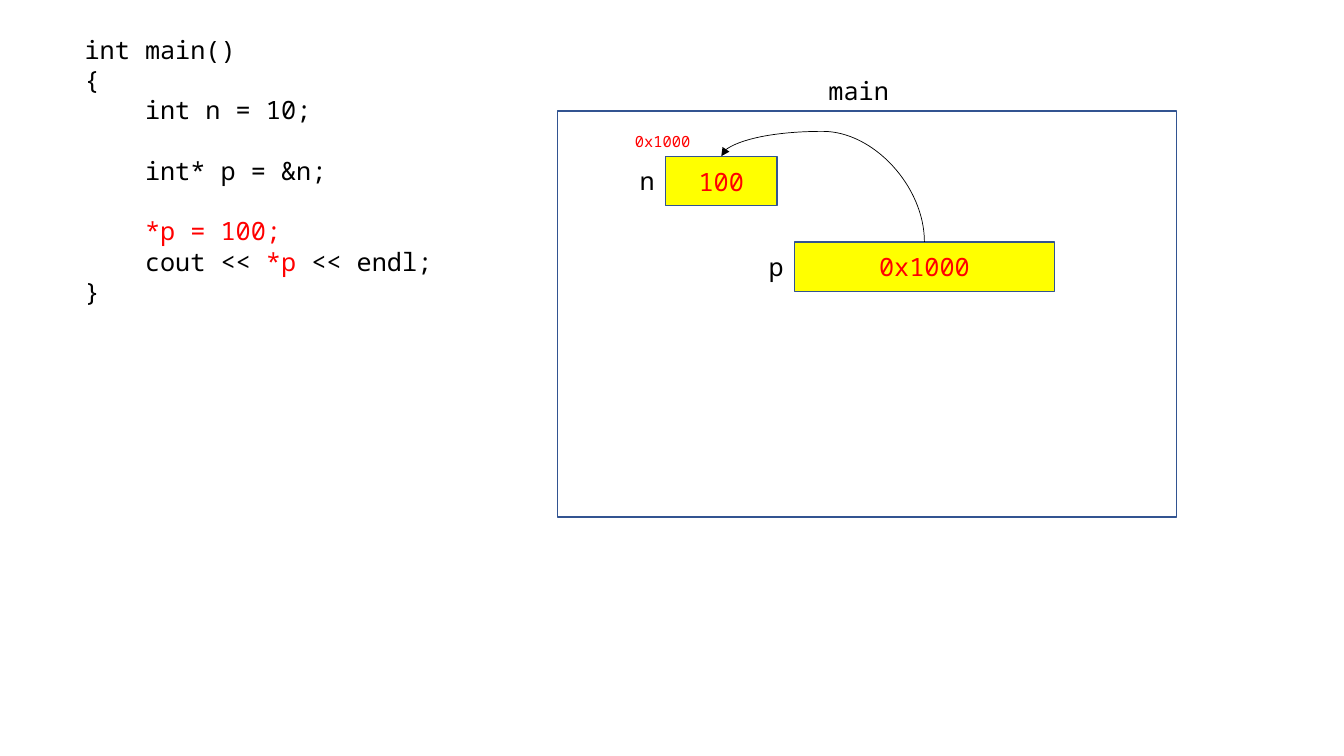
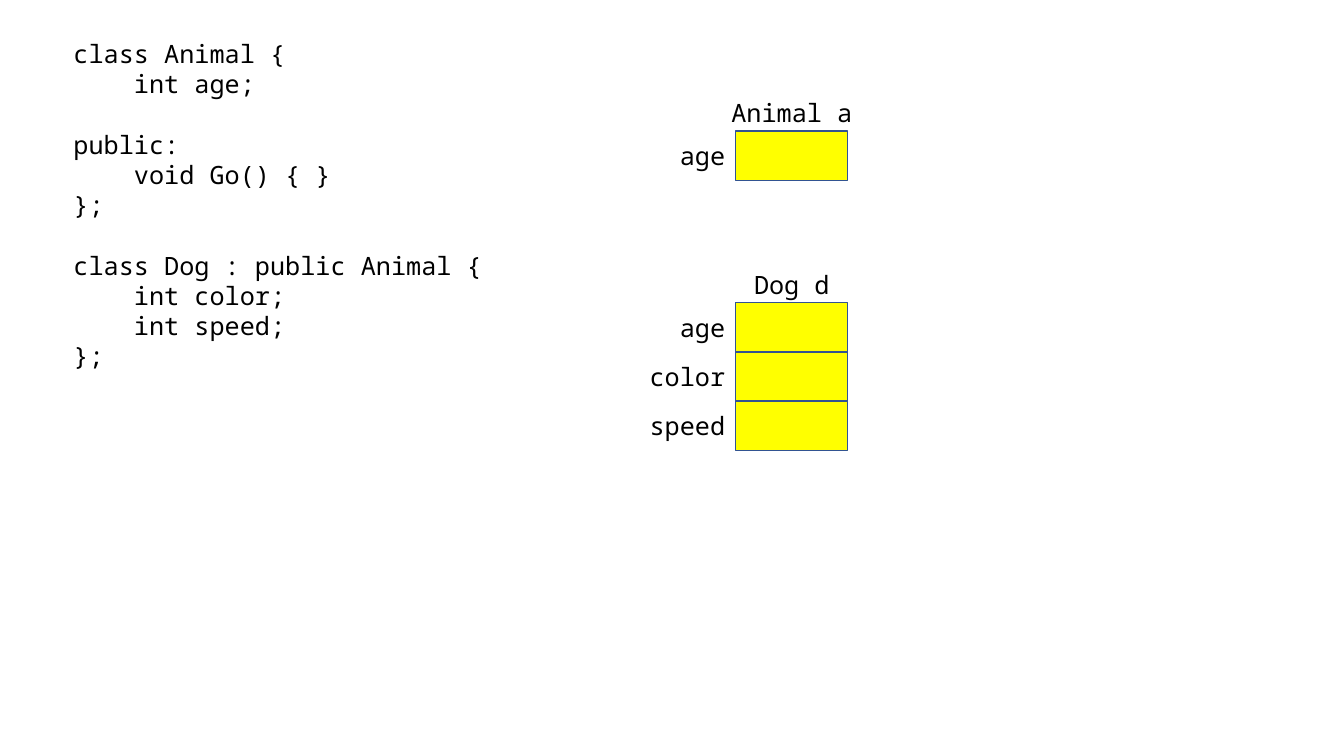
"""Two slides on C++ memory: a pointer to a variable, and inherited fields."""
from dataclasses import dataclass

from lxml import etree
from pptx import Presentation
from pptx.dml.color import RGBColor
from pptx.enum import shapes as s
from pptx.enum import text as t
from pptx.oxml import ns
from pptx.shapes.autoshape import Shape
from pptx.slide import Slide
from pptx.text.text import _Paragraph as Paragraph
from pptx.util import Pt

BLACK = RGBColor(0x00, 0x00, 0x00)
RED = RGBColor(0xFF, 0x00, 0x00)
YELLOW = RGBColor(0xFF, 0xFF, 0x00)
WHITE = RGBColor(0xFF, 0xFF, 0xFF)
OUTLINE = RGBColor(0x32, 0x54, 0x91)

FONT = "Noto Sans Mono"
TEXT_SIZE = 18
ADDRESS_SIZE = 11
LINE_PITCH = 21.6
CODE_INDENT = 43.2
LABEL_HEIGHT = 28.8
CELL_WIDTH = 80
CELL_HEIGHT = 35.3


@dataclass(frozen=True)
class Area:
    """A rectangle in points."""

    left: float
    top: float
    width: float
    height: float

    @property
    def center(self) -> float:
        """Horizontal centre."""
        return self.left + self.width / 2


@dataclass(frozen=True)
class Span:
    """A piece of text in one colour."""

    text: str
    color: RGBColor = BLACK


@dataclass(frozen=True)
class CodeLine:
    """A line of code with its indent level and the blank lines above it."""

    spans: tuple[Span, ...]
    level: int = 0
    gap: int = 0


@dataclass(frozen=True)
class Cell:
    """A memory cell with the name on its left."""

    name: str
    left: float
    top: float
    width: float = CELL_WIDTH
    value: str = ""
    name_width: float = 91

    @property
    def area(self) -> Area:
        """The rectangle of the cell."""
        return Area(self.left, self.top, self.width, CELL_HEIGHT)


def code(text: str, level: int = 0, gap: int = 0, color: RGBColor = BLACK) -> CodeLine:
    """Make a code line of one colour."""
    return CodeLine((Span(text, color),), level, gap)


def add_spans(para: Paragraph, spans: tuple[Span, ...], size: float) -> None:
    """Write coloured runs into a paragraph."""
    for span in spans:
        run = para.add_run()
        run.text = span.text
        run.font.name = FONT
        run.font.size = Pt(size)
        run.font.color.rgb = span.color


def add_text_box(slide: Slide, area: Area) -> Shape:
    """Add an empty wrapping text box that grows with its text."""
    box = slide.shapes.add_textbox(
        Pt(area.left), Pt(area.top), Pt(area.width), Pt(area.height))
    box.text_frame.word_wrap = True
    box.text_frame.auto_size = t.MSO_AUTO_SIZE.SHAPE_TO_FIT_TEXT
    return box


def add_label(slide: Slide, span: Span, area: Area, align: t.PP_ALIGN,
              size: float = TEXT_SIZE) -> None:
    """Add one line of text."""
    para = add_text_box(slide, area).text_frame.paragraphs[0]
    para.alignment = align
    add_spans(para, (span,), size)


def add_caption(slide: Slide, text: str, center: float, top: float) -> None:
    """Add a centred heading above a drawing."""
    width = 114
    add_label(slide, Span(text), Area(center - width / 2, top, width, LABEL_HEIGHT),
              t.PP_ALIGN.CENTER)


def add_code(slide: Slide, lines: tuple[CodeLine, ...], area: Area) -> None:
    """Add a code listing."""
    frame = add_text_box(slide, area).text_frame
    for index, line in enumerate(lines):
        para = frame.add_paragraph() if index else frame.paragraphs[0]
        para.space_before = Pt(line.gap * LINE_PITCH)
        para._p.get_or_add_pPr().set("marL", str(Pt(line.level * CODE_INDENT)))
        add_spans(para, line.spans, TEXT_SIZE)


def add_rectangle(slide: Slide, area: Area, fill: RGBColor) -> Shape:
    """Add an outlined rectangle."""
    box = slide.shapes.add_shape(
        s.MSO_SHAPE.RECTANGLE,
        Pt(area.left), Pt(area.top), Pt(area.width), Pt(area.height))
    box.shadow.inherit = False
    box.fill.solid()
    box.fill.fore_color.rgb = fill
    box.line.color.rgb = OUTLINE
    box.line.width = Pt(1)
    return box


def add_cell(slide: Slide, cell: Cell) -> None:
    """Add a memory cell, its value and its name."""
    frame = add_rectangle(slide, cell.area, YELLOW).text_frame
    if cell.value:
        frame.vertical_anchor = t.MSO_ANCHOR.MIDDLE
        para = frame.paragraphs[0]
        para.alignment = t.PP_ALIGN.CENTER
        add_spans(para, (Span(cell.value, RED),), TEXT_SIZE)
    name_area = Area(cell.left - cell.name_width - 0.5, cell.top + 3.3,
                     cell.name_width, LABEL_HEIGHT)
    add_label(slide, Span(cell.name), name_area, t.PP_ALIGN.RIGHT)


def add_pointer(slide: Slide, source: Area, target: Area, bend: float) -> None:
    """Curve an arrow from the top of source up and left to the top of target."""
    rise = source.top - target.top
    reach = source.center - target.center
    middle_x = (source.center + target.center) / 2
    middle_y = (source.top + target.top) / 2
    # The curve is laid out upright, then turned a quarter to the left.
    arrow = slide.shapes.add_connector(
        s.MSO_CONNECTOR.CURVE,
        Pt(middle_x - rise / 2), Pt(middle_y + reach / 2),
        Pt(middle_x + rise / 2), Pt(middle_y - reach / 2))
    arrow.line.color.rgb = BLACK
    arrow.line.width = Pt(0.5)
    properties = arrow._element.spPr
    properties.find(ns.qn("a:xfrm")).set("rot", str(270 * 60000))
    guides = properties.find(ns.qn("a:prstGeom")).get_or_add_avLst()
    etree.SubElement(guides, ns.qn("a:gd"), name="adj1", fmla=f"val {round(bend * 100000)}")
    etree.SubElement(properties.find(ns.qn("a:ln")), ns.qn("a:tailEnd"), type="triangle")
    etree.SubElement(properties, ns.qn("a:effectLst"))


def build_pointer_slide(slide: Slide) -> None:
    """Show a pointer changing a variable."""
    lines = (
        code("int main()"),
        code("{"),
        code("int n = 10;", level=1),
        code("int* p = &n;", level=1, gap=1),
        code("*p = 100;", level=1, gap=1, color=RED),
        CodeLine((Span("cout << "), Span("*p", RED), Span(" << endl;")), level=1),
        code("}"),
    )
    number = Cell("n", 475.2, 111.6, value="100", name_width=41)
    pointer = Cell("p", 567.4, 172.8, width=185.8, value="0x1000", name_width=41)
    add_code(slide, lines, Area(53.3, 20.9, 480, 203.8))
    add_rectangle(slide, Area(398.2, 79.2, 442, 290.2), WHITE)
    add_caption(slide, "main", center=613.4, top=50.4)
    for cell in (number, pointer):
        add_cell(slide, cell)
    add_label(slide, Span("0x1000", RED), Area(446.4, 90.7, 57.6, 20.9),
              t.PP_ALIGN.LEFT, ADDRESS_SIZE)
    add_pointer(slide, pointer.area, number.area, bend=1.29)


def build_inheritance_slide(slide: Slide) -> None:
    """Show the fields of a base object and of a derived one."""
    lines = (
        code("class Animal {"),
        code("int age;", level=1),
        code("public:", gap=1),
        code("void Go() { }", level=1),
        code("};"),
        code("class Dog : public Animal {", gap=1),
        code("int color;", level=1),
        code("int speed;", level=1),
        code("};"),
    )
    add_code(slide, lines, Area(45.4, 23.8, 373.7, 247))
    left = 525.6
    objects = (
        ("Animal a", 93.6, ("age",)),
        ("Dog d", 216, ("age", "color", "speed")),
    )
    for title, top, fields in objects:
        for row, field in enumerate(fields):
            add_cell(slide, Cell(field, left, top + row * CELL_HEIGHT))
        add_caption(slide, title, left + CELL_WIDTH / 2, top - 27.4)


def main() -> None:
    """Build and save the deck."""
    deck = Presentation()
    deck.slide_width, deck.slide_height = Pt(960), Pt(540)
    blank = deck.slide_layouts[6]
    for build in (build_pointer_slide, build_inheritance_slide):
        build(deck.slides.add_slide(blank))
    deck.save("out.pptx")


main()
